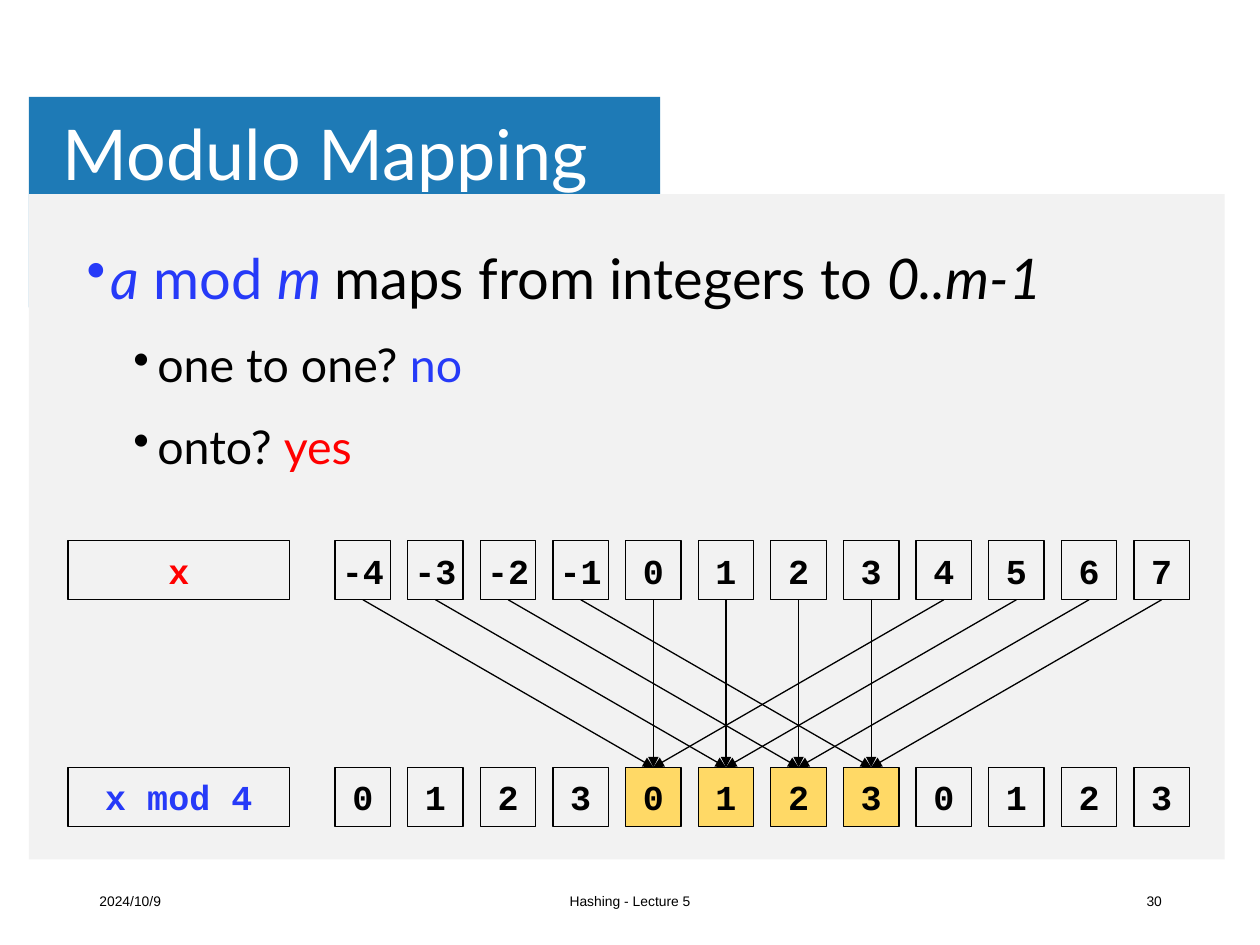
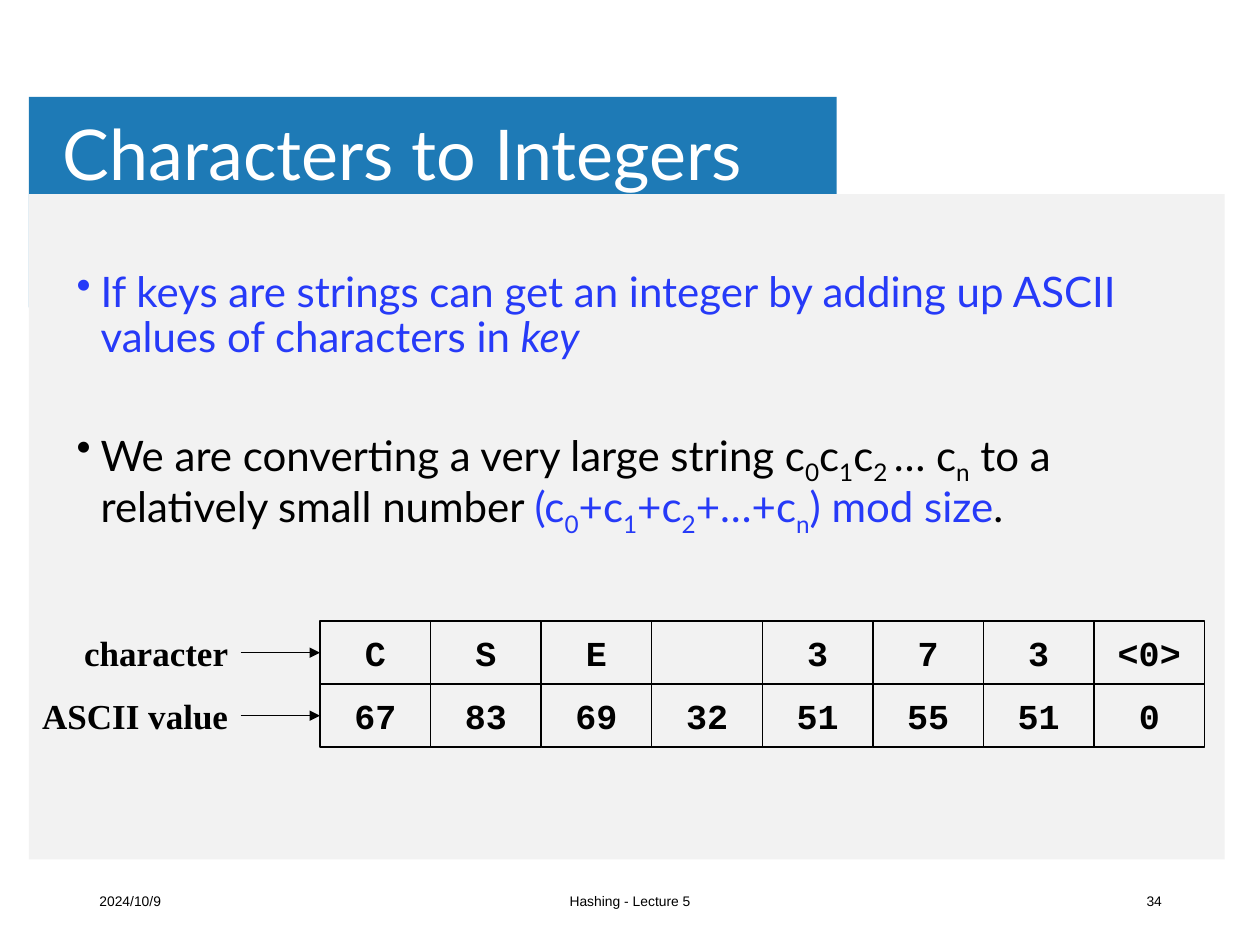
"""Build two lecture slides on hashing: modulo mapping and characters to integers."""
from lxml import etree
from pptx import Presentation
from pptx.dml.color import RGBColor
from pptx.enum.shapes import MSO_CONNECTOR, MSO_SHAPE
from pptx.enum.text import MSO_ANCHOR, PP_ALIGN
from pptx.oxml.ns import qn
from pptx.util import Inches, Pt

RECT = MSO_SHAPE.RECTANGLE
LINE = MSO_CONNECTOR.STRAIGHT
MIDDLE, TOP = MSO_ANCHOR.MIDDLE, MSO_ANCHOR.TOP
LEFT, CENTER, RIGHT = PP_ALIGN.LEFT, PP_ALIGN.CENTER, PP_ALIGN.RIGHT

BLACK, WHITE = "000000", "FFFFFF"
BLUE, RED, GOLD = "263AF8", "FF0000", "FFD966"
BAND, PANEL = "1E7AB6", "F2F2F2"


def paint(value):
    return RGBColor.from_string(value)


def write(para, text, font="Lato", size=24, color=BLACK, bold=False, italic=False, sub=False):
    run = para.add_run()
    run.text = text
    face = run.font
    face.name, face.size = font, Pt(size)
    face.bold, face.italic = bold, italic
    face.color.rgb = paint(color)
    if sub:
        run._r.get_or_add_rPr().set("baseline", "-25000")


class Deck:
    def __init__(self):
        self.show = Presentation()
        self.show.slide_width, self.show.slide_height = Inches(10), Inches(7.5)
        self.slide = None

    def page(self, title, width, number):
        self.slide = self.show.slides.add_slide(self.show.slide_layouts[6])
        self.box(0.23, 0.77, width, 1.67, fill=BAND)
        self.box(0.23, 1.54, 9.49, 5.28, fill=PANEL)
        para = self.label(0.43, 0.76, 8.03, 0.98, title, size=40, color=WHITE)
        para.line_spacing = 0.9
        foot = ((0.69, 2.25, "2024/10/9", LEFT),
                (3.31, 3.38, "Hashing - Lecture 5", CENTER),
                (7.07, 2.25, str(number), RIGHT))
        for left, wide, text, align in foot:
            self.label(left, 6.95, wide, 0.4, text, align, font="Arial", size=7.9)

    def frame(self, left, top, width, height, anchor=MIDDLE):
        shape = self.slide.shapes.add_textbox(*map(Inches, (left, top, width, height)))
        frame = shape.text_frame
        frame.word_wrap = True
        frame.vertical_anchor = anchor
        return frame

    def label(self, left, top, width, height, text, align=LEFT, **style):
        frame = self.frame(left, top, width, height)
        if style.get("size") == 40:
            frame.margin_left = frame.margin_right = Inches(0.07)
            frame.margin_top = frame.margin_bottom = Inches(0.04)
        para = frame.paragraphs[0]
        para.alignment = align
        write(para, text, **style)
        return para

    def body(self, left, top, width, height, items, gap):
        """Add bullets from (level, size, runs); text between bars is subscript."""
        frame = self.frame(left, top, width, height, TOP)
        for index, (level, size, runs) in enumerate(items):
            para = frame.add_paragraph() if index else frame.paragraphs[0]
            para.level = level
            para.line_spacing = 0.9
            para.space_before = Pt(gap if index else 0)
            props = para._p.get_or_add_pPr()
            props.set("marL", str(Inches(0.56 if level else 0.19)))
            props.set("indent", str(Inches(-0.19)))
            etree.SubElement(props, qn("a:buChar")).set("char", "•")
            for text, style in runs:
                for place, part in enumerate(text.split("|")):
                    write(para, part, size=size, sub=place % 2 == 1, **style)

    def box(self, left, top, width, height, text="", fill=None, line=None, color=BLACK):
        shape = self.slide.shapes.add_shape(RECT, *map(Inches, (left, top, width, height)))
        shape.shadow.inherit = False
        if fill:
            shape.fill.solid()
            shape.fill.fore_color.rgb = paint(fill)
        else:
            shape.fill.background()
        if line:
            shape.line.color.rgb = paint(line)
            shape.line.width = Pt(0.75)
        else:
            shape.line.fill.background()
        if text:
            frame = shape.text_frame
            frame.word_wrap = False
            frame.vertical_anchor = MIDDLE
            frame.paragraphs[0].alignment = CENTER
            write(frame.paragraphs[0], text, "Courier New", 20, color, bold=True)

    def arrow(self, *ends):
        wire = self.slide.shapes.add_connector(LINE, *map(Inches, ends))
        wire.line.color.rgb = paint(BLACK)
        wire.line.width = Pt(0.75)
        etree.SubElement(wire.line._get_or_add_ln(), qn("a:tailEnd")).set("type", "triangle")
        etree.SubElement(wire._element.spPr, qn("a:effectLst"))


def modulo(deck):
    deck.page("Modulo Mapping", 5.01, 30)
    blue, slant = {"color": BLUE}, {"italic": True}
    deck.body(0.59, 1.94, 8.74, 1.08, [
        (0, 32, [("a", blue | slant), (" mod ", blue), ("m ", blue | slant),
                 ("maps from integers to ", {}), ("0..m-1", slant)]),
        (1, 26.6, [("one to one? ", {}), ("no", blue)]),
        (1, 26.6, [("onto? ", {}), ("yes", {"color": RED})]),
    ], gap=18)

    upper, lower, width, height = 4.29, 6.09, 0.44, 0.47
    first, last, count, mod = 2.66, 9, 12, 4
    lefts = [first + i * (last - first) / (count - 1) for i in range(count)]
    for i, left in enumerate(lefts):
        value = i - mod
        hit = 0 <= value < mod
        deck.box(left, upper, width, height, str(value), line=BLACK)
        deck.box(left, lower, width, height, str(value % mod),
                 fill=GOLD if hit else None, line=BLACK)
    deck.box(0.54, upper, 1.76, height, "x", line=BLACK, color=RED)
    deck.box(0.54, lower, 1.76, height, "x mod 4", line=BLACK, color=BLUE)
    for i, left in enumerate(lefts):
        goal = lefts[mod + i % mod]
        deck.arrow(left + width / 2, upper + height, goal + width / 2, lower)


def letters(deck):
    deck.page("Characters to Integers", 6.41, 34)
    blue = {"color": BLUE}
    deck.body(0.51, 2.1, 8.81, 2.61, [
        (0, 24, [("If keys are strings can get an integer by adding up ASCII "
                  "values of characters in ", blue), ("key", blue | {"italic": True})]),
        (0, 24, [("We are converting a very large string c|0|c|1|c|2 |… c|n| to a "
                  "relatively small number ", {}),
                 ("(c|0|+c|1|+c|2|+…+c|n|) mod size", blue), (".", {})]),
    ], gap=39)

    start, width, height = 2.54, 7.02 / 8, 0.5
    rows = (("character", ("C", "S", "E", "", "3", "7", "3", "<0>")),
            ("ASCII value", ("67", "83", "69", "32", "51", "55", "51", "0")))
    for row, (name, cells) in enumerate(rows):
        top = 4.93 + row * height
        deck.label(-0.1, top, 2.01, height, name, RIGHT,
                   font="Times New Roman", size=20, bold=True)
        deck.arrow(1.91, top + height / 2, start, top + height / 2)
        for col, text in enumerate(cells):
            deck.box(start + col * width, top, width, height, text, line=BLACK)


def main():
    deck = Deck()
    modulo(deck)
    letters(deck)
    deck.show.save("out.pptx")


if __name__ == "__main__":
    main()
